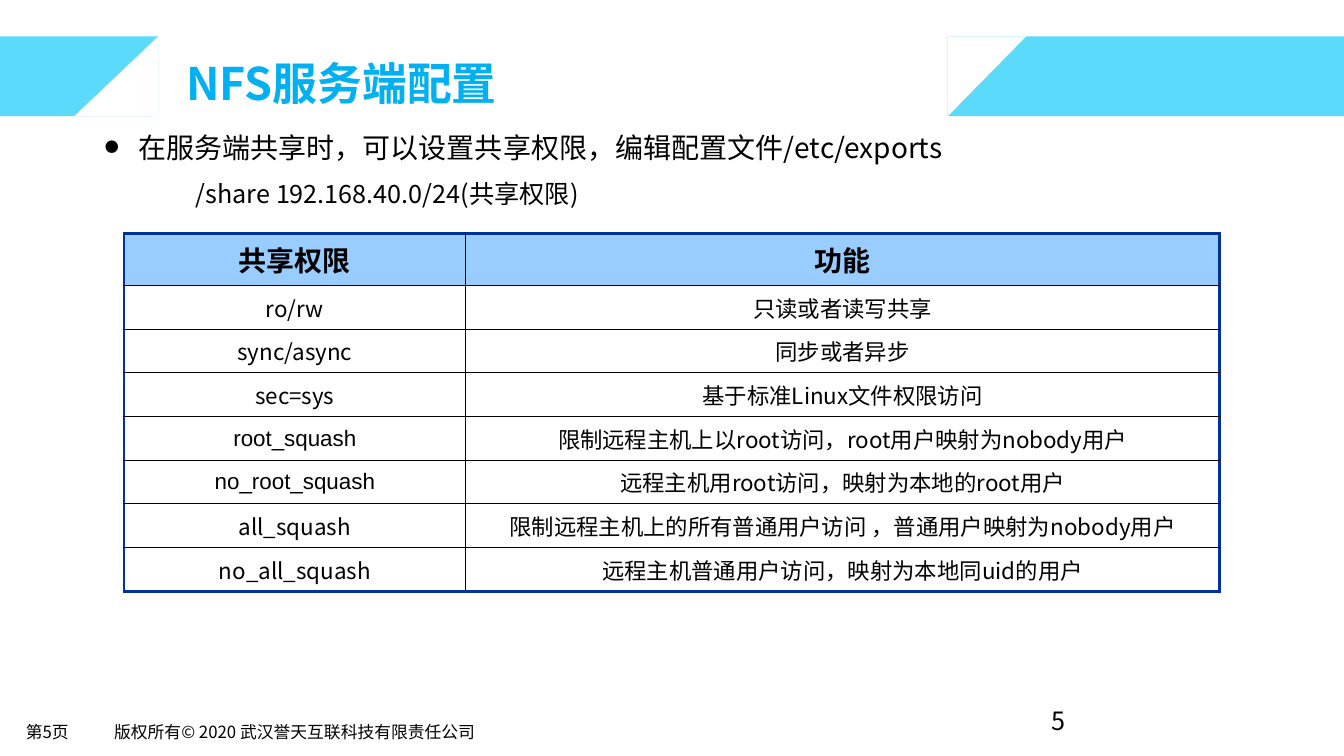
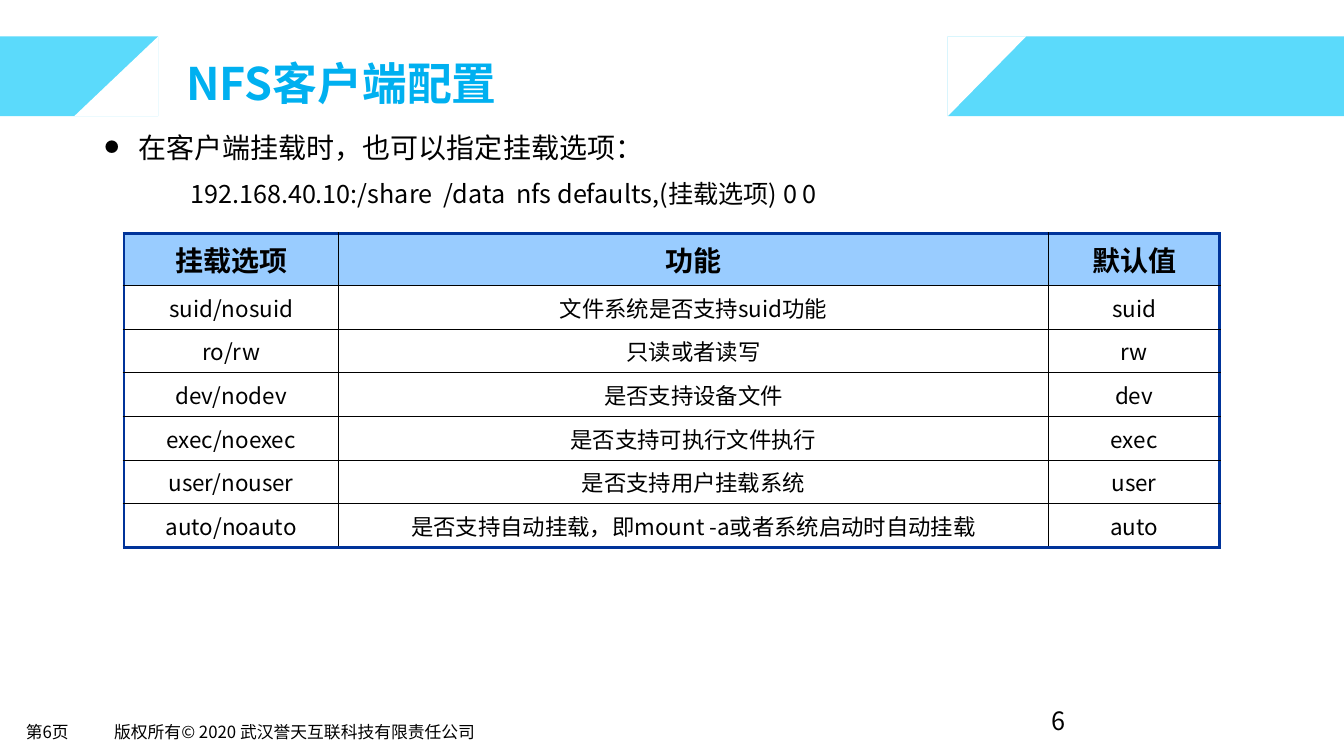
"""Build two slides on NFS server and client configuration."""
from lxml.etree import SubElement
from pptx import Presentation
from pptx.dml.color import RGBColor
from pptx.enum.shapes import MSO_SHAPE
from pptx.enum.text import MSO_ANCHOR, PP_ALIGN
from pptx.oxml.ns import qn
from pptx.util import Pt

COLORS = {"band": "5BDAFB", "title": "00B0F0", "text": "000000", "white": "FFFFFF",
          "header": "99CCFF", "frame": "003399"}
FONT = "Noto Sans CJK SC"
WIDTH, BAND_TOP, BAND_BOTTOM = 960, 26, 83
BANDS = [
    (0, 113, [(113, BAND_BOTTOM), (53, BAND_BOTTOM), (113, BAND_TOP)]),
    (677, WIDTH, [(677, BAND_TOP), (733, BAND_TOP), (677, BAND_BOTTOM)]),
]
SLIDES = [
    {
        "page": 5,
        "title": "NFS服务端配置",
        "lead": "在服务端共享时，可以设置共享权限，编辑配置文件/etc/exports",
        "example": "/share 192.168.40.0/24(共享权限)",
        "indent": 65,
        "cols": [244, 538.5],
        "rows": [
            ("共享权限", "功能"),
            ("ro/rw", "只读或者读写共享"),
            ("sync/async", "同步或者异步"),
            ("sec=sys", "基于标准Linux文件权限访问"),
            ("root_squash", "限制远程主机上以root访问，root用户映射为nobody用户"),
            ("no_root_squash", "远程主机用root访问，映射为本地的root用户"),
            ("all_squash", "限制远程主机上的所有普通用户访问 ，普通用户映射为nobody用户"),
            ("no_all_squash", "远程主机普通用户访问，映射为本地同uid的用户"),
        ],
    },
    {
        "page": 6,
        "title": "NFS客户端配置",
        "lead": "在客户端挂载时，也可以指定挂载选项：",
        "example": "192.168.40.10:/share  /data  nfs defaults,(挂载选项) 0 0",
        "indent": 61,
        "cols": [153, 507.5, 122],
        "rows": [
            ("挂载选项", "功能", "默认值"),
            ("suid/nosuid", "文件系统是否支持suid功能", "suid"),
            ("ro/rw", "只读或者读写", "rw"),
            ("dev/nodev", "是否支持设备文件", "dev"),
            ("exec/noexec", "是否支持可执行文件执行", "exec"),
            ("user/nouser", "是否支持用户挂载系统", "user"),
            ("auto/noauto", "是否支持自动挂载，即mount -a或者系统启动时自动挂载", "auto"),
        ],
    },
]
ARIAL_CELLS = {"root_squash", "no_root_squash"}


def write(tf, text, size=18, color="text", bold=False, font=FONT, align=PP_ALIGN.LEFT,
          before=0, indent=0, bullet=False, anchor=MSO_ANCHOR.TOP, inset=(6.5, 3)):
    tf.word_wrap = True
    tf.vertical_anchor = anchor
    tf.margin_left = tf.margin_right = Pt(inset[0])
    tf.margin_top = tf.margin_bottom = Pt(inset[1])
    p = tf.add_paragraph() if tf.text else tf.paragraphs[0]
    p.alignment = align
    if before:
        p.space_before = Pt(before)
    pPr = p._p.get_or_add_pPr()
    if indent:
        pPr.set("marL", str(Pt(indent)))
    if bullet:
        pPr.set("indent", str(-Pt(indent)))
        SubElement(pPr, qn("a:buSzPct"), val="50000")
        SubElement(pPr, qn("a:buFont"), typeface=FONT)
        SubElement(pPr, qn("a:buChar"), char="●")
    r = p.add_run()
    r.text = text
    r.font.size = Pt(size)
    r.font.bold = bold
    r.font.name = font
    r.font.color.rgb = RGBColor.from_string(COLORS[color])
    SubElement(r._r.get_or_add_rPr(), qn("a:ea"), typeface=font)


def add_border(cell, side, color, width):
    ln = SubElement(cell._tc.get_or_add_tcPr(), qn(f"a:{side}"), w=str(Pt(width)))
    fill = SubElement(ln, qn("a:solidFill"))
    SubElement(fill, qn("a:srgbClr"), val=COLORS[color])


prs = Presentation()
prs.slide_width, prs.slide_height = Pt(WIDTH), Pt(540)

for data in SLIDES:
    s = prs.slides.add_slide(prs.slide_layouts[6])

    for left, right, corner in BANDS:
        band = s.shapes.add_shape(MSO_SHAPE.RECTANGLE, Pt(left), Pt(BAND_TOP),
                                  Pt(right - left), Pt(BAND_BOTTOM - BAND_TOP))
        builder = s.shapes.build_freeform(*corner[0], scale=Pt(1))
        builder.add_line_segments(corner[1:], close=True)
        for sp, color in ((band, "band"), (builder.convert_to_shape(), "white")):
            sp.shadow.inherit = False
            sp.fill.solid()
            sp.fill.fore_color.rgb = RGBColor.from_string(COLORS[color])
            sp.line.fill.background()

    middle = {"anchor": MSO_ANCHOR.MIDDLE}
    labels = [
        ((12, 512, 60, 21), f"第{data['page']}页", {"size": 12, **middle}),
        ((75, 512, 290, 21), "版权所有© 2020 武汉誉天互联科技有限责任公司", {"size": 12, **middle}),
        ((744, 500, 216, 29), str(data["page"]), {"inset": (7.2, 3.6), **middle}),
        ((125, 32, 774, 50), data["title"],
         {"size": 32, "color": "title", "bold": True, "inset": (8, 4), "anchor": MSO_ANCHOR.BOTTOM}),
    ]
    for box, text, style in labels:
        write(s.shapes.add_textbox(*map(Pt, box)).text_frame, text, **style)

    tf = s.shapes.add_textbox(Pt(68.4), Pt(90), Pt(832), Pt(75)).text_frame
    write(tf, data["lead"], size=20, indent=24, bullet=True)
    write(tf, data["example"], before=10.7, indent=data["indent"])

    rows, cols = data["rows"], data["cols"]
    table = s.shapes.add_table(len(rows), len(cols), Pt(88.6), Pt(167), Pt(sum(cols)),
                               Pt(37 + 31.2 * (len(rows) - 1))).table
    for j, width in enumerate(cols):
        table.columns[j].width = Pt(width)
    for i, row in enumerate(rows):
        head = i == 0
        table.rows[i].height = Pt(37 if head else 31.2)
        for j, text in enumerate(row):
            cell = table.cell(i, j)
            write(cell.text_frame, text, size=20 if head else 16, bold=head,
                  font="Arial" if text in ARIAL_CELLS else FONT, align=PP_ALIGN.CENTER)
            cell.vertical_anchor = MSO_ANCHOR.MIDDLE
            cell.margin_left = cell.margin_right = Pt(8)
            cell.margin_top = cell.margin_bottom = Pt(4)
            edges = {"lnL": j == 0, "lnR": j == len(cols) - 1,
                     "lnT": head, "lnB": i == len(rows) - 1}
            for side, outer in edges.items():
                add_border(cell, side, *(("frame", 2.25) if outer else ("text", 1)))
            cell.fill.solid()
            cell.fill.fore_color.rgb = RGBColor.from_string(COLORS["header" if head else "white"])

prs.save("out.pptx")
